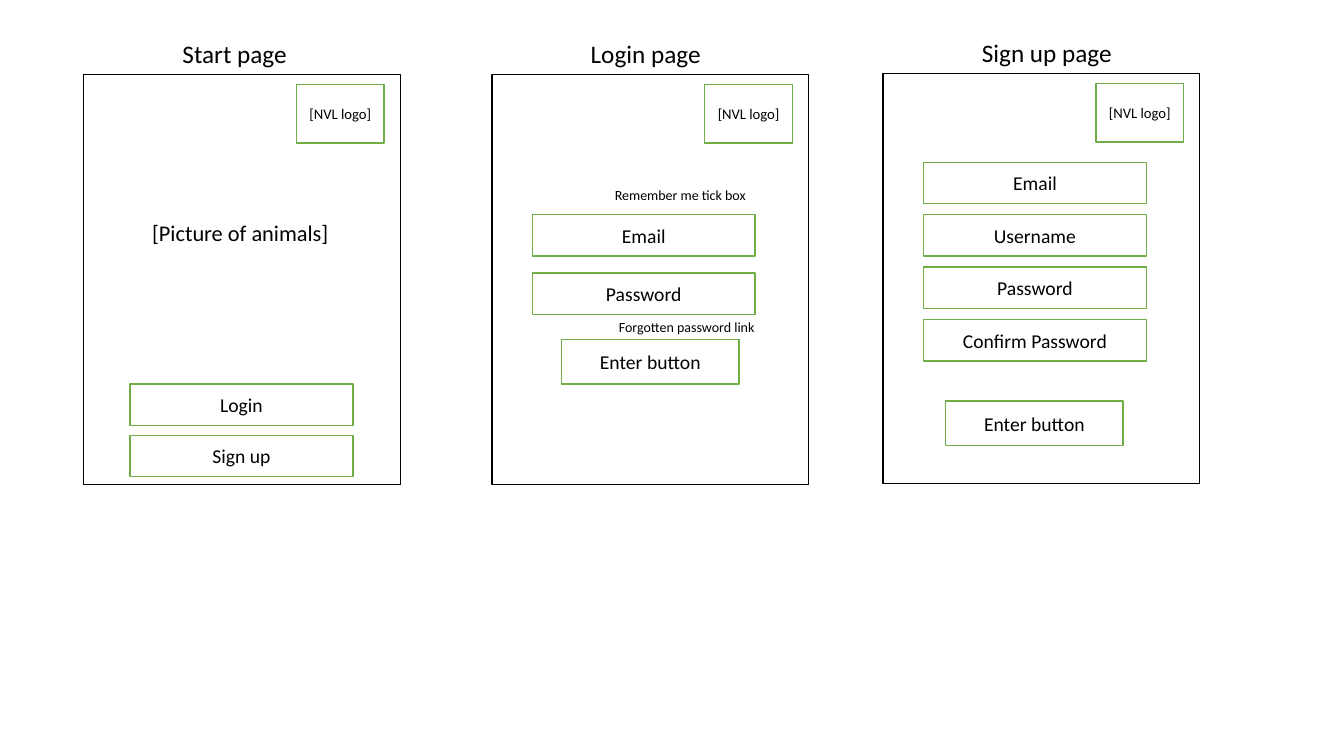
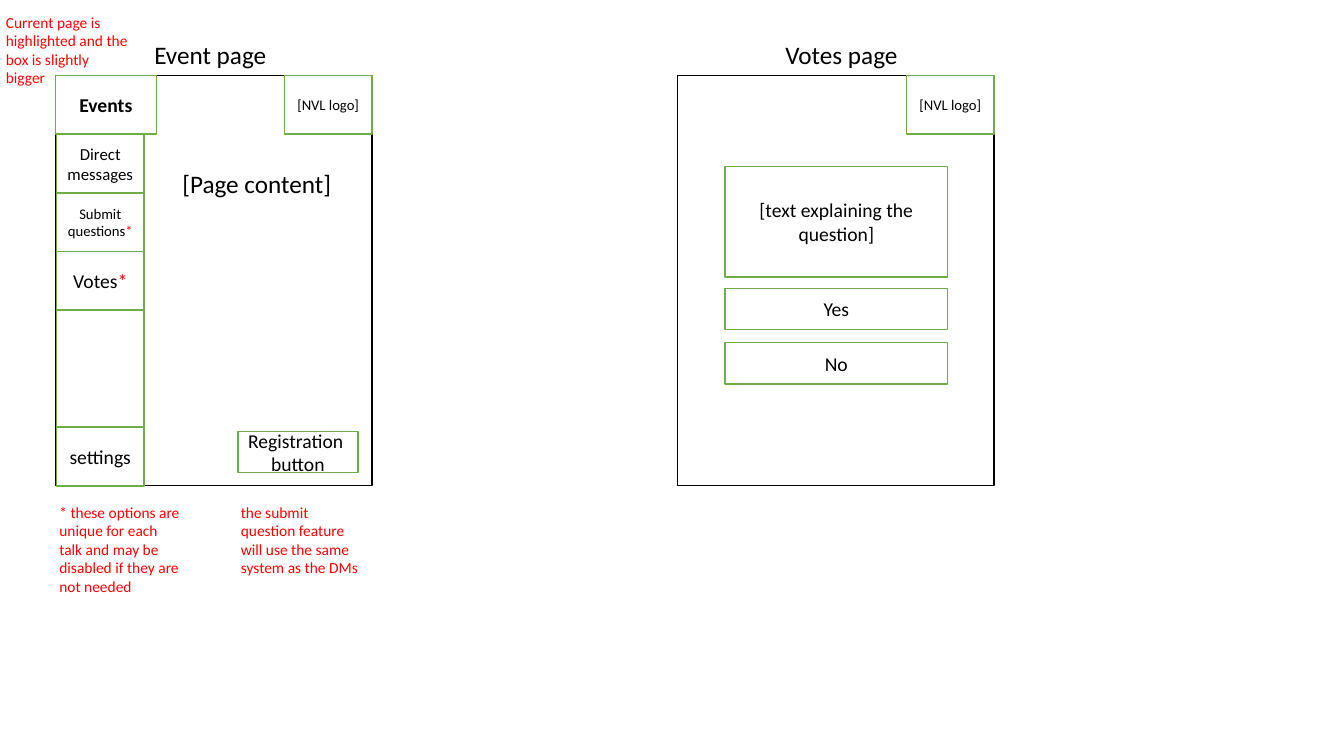
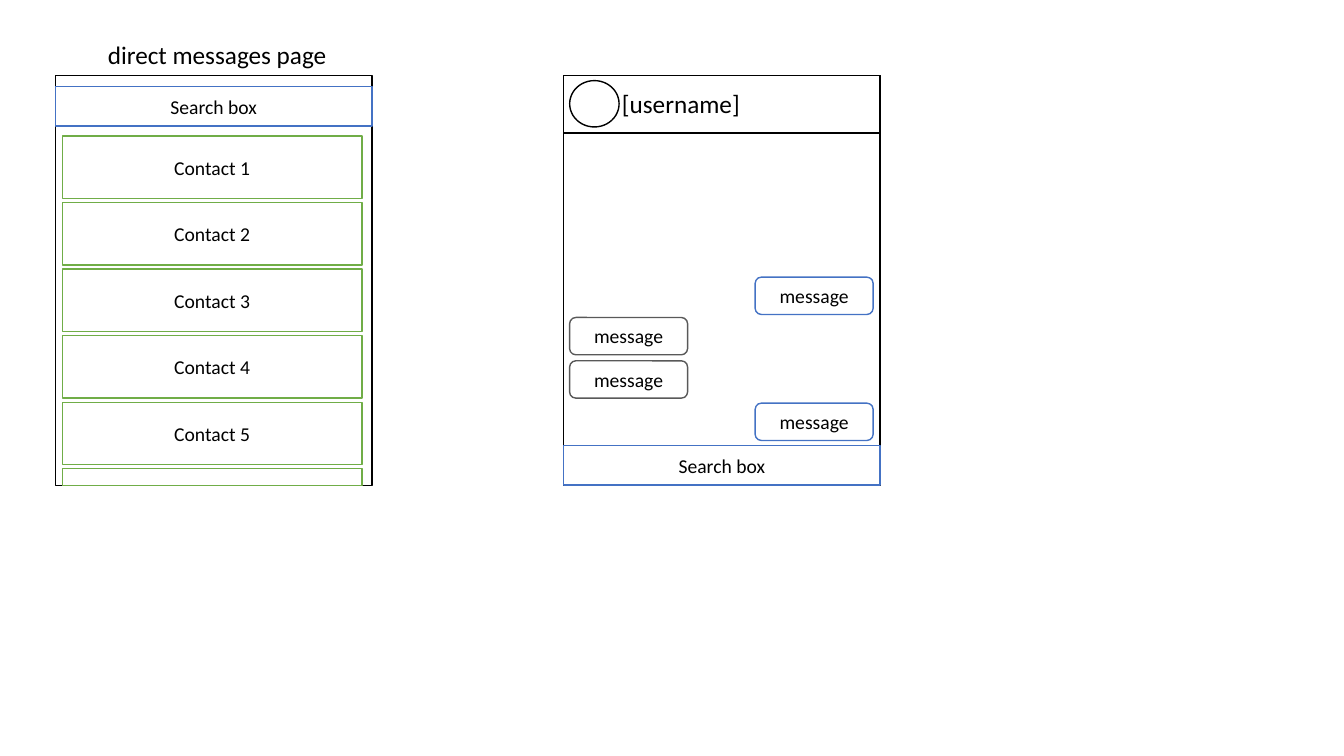
from dataclasses import dataclass
from typing import NamedTuple

from pptx import Presentation
from pptx.dml.color import RGBColor as RGB
from pptx.enum.shapes import MSO_SHAPE as SHAPE
from pptx.enum.text import MSO_ANCHOR as ANCHOR
from pptx.enum.text import MSO_AUTO_SIZE as AUTO_SIZE
from pptx.enum.text import PP_ALIGN as ALIGN
from pptx.util import Inches, Pt


@dataclass(frozen=True)
class Theme:
    font: str = "Calibri"
    ink: RGB = RGB(0, 0, 0)
    paper: RGB = RGB(255, 255, 255)
    green: RGB = RGB(0x70, 0xAD, 0x47)
    blue: RGB = RGB(0x44, 0x72, 0xC4)
    grey: RGB = RGB(0x59, 0x59, 0x59)
    red: RGB = RGB(255, 0, 0)
    outline: float = 1
    heading: float = 18
    placeholder: float = 16
    control: float = 14
    tab: float = 12
    note: float = 11
    small: float = 10.5
    hint: float = 10


THEME = Theme()
SCREEN_W, SCREEN_H = 3.14, 4.07
TITLE_RISE, TITLE_H = 0.41, 0.4
TAB_W, TAB_H = 0.87, SCREEN_H / 7
FIELD = (2.21, 0.41)
BUTTON = (1.76, 0.44)
BUBBLE = (1.17, 0.37)
BAR = (SCREEN_W, 0.39)


class Stack(NamedTuple):
    labels: tuple
    at: tuple
    size: tuple = FIELD
    pitch: float = 0
    points: float = THEME.control
    line: RGB = THEME.green
    outline: SHAPE = SHAPE.RECTANGLE
    bold: bool = False


class Caption(NamedTuple):
    text: str
    at: tuple
    size: tuple
    points: float
    color: RGB = THEME.ink
    wrap: bool = True


class Screen(NamedTuple):
    corner: tuple
    content: tuple
    title: str = ""
    title_x: float = 0.88
    title_w: float = 1.33


def logo(x, y):
    return Stack(("[NVL logo]",), (x, y), (TAB_W, 0.58), points=THEME.small)


def tab(label, row, points=THEME.control, rows=1):
    return Stack((label,), (0.01, row * TAB_H), (TAB_W, rows * TAB_H), points=points)


def bubble(x, y, line):
    return Stack(("message",), (x, y), BUBBLE, line=line, outline=SHAPE.ROUNDED_RECTANGLE)


def search(y):
    return Stack(("Search box",), (0, y), BAR, line=THEME.blue)


SLIDES = [
    [
        Screen((0.83, 0.74), (
            logo(2.11, 0.1),
            Stack(("Login", "Sign up"), (0.46, 3.07), pitch=0.51),
            Caption("[Picture of animals]", (0.58, 1.38), (1.98, 0.37), THEME.placeholder),
        ), "Start page", title_w=1.25),
        Screen((4.88, 0.74), (
            logo(2.11, 0.1),
            Stack(("Email", "Password"), (0.4, 1.39), pitch=0.58),
            Stack(("Enter button",), (0.69, 2.63), BUTTON),
            Caption("Forgotten password link", (1.16, 2.37), (1.72, 0.27), THEME.hint),
            Caption("Remember me tick box", (1.12, 1.06), (1.72, 0.27), THEME.hint),
        ), "Login page", title_w=1.31),
        Screen((8.76, 0.73), (
            logo(2.11, 0.1),
            Stack(("Email", "Username", "Password", "Confirm Password"), (0.4, 0.88), pitch=0.52),
            Stack(("Enter button",), (0.62, 3.25), BUTTON),
        ), "Sign up page", title_w=1.51),
    ],
    [
        Screen((0.55, 0.75), (
            logo(2.27, 0),
            Stack(("Events",), (0, 0), (1, 0.58), bold=True),
            tab("Direct messages", 1, THEME.tab),
            tab("Submit questions*", 2, THEME.small),
            tab("Votes*", 3),
            tab("", 4, rows=2),
            tab("settings", 6),
            Caption("[Page content]", (1.16, 0.87), (1.69, 0.4), THEME.heading, wrap=False),
            Stack(("Registration\u00a0 button",), (1.81, 3.53), (1.19, 0.41)),
            Caption("* these options are unique for each talk and may be disabled if they are not needed",
                    (-0.06, 4.19), (1.42, 1.03), THEME.note, THEME.red),
            Caption("the submit question feature will use the same system as the DMs",
                    (1.74, 4.19), (1.39, 0.84), THEME.note, THEME.red),
            Caption("Current page is highlighted and the box is slightly bigger",
                    (-0.59, -0.67), (1.43, 0.84), THEME.note, THEME.red),
        ), "Event page"),
        Screen((6.72, 0.75), (
            logo(2.27, 0),
            Stack(("[text explaining the question]",), (0.47, 0.9), (2.21, 1.1)),
            Stack(("Yes", "No"), (0.47, 2.11), pitch=0.54),
        ), "Votes page", title_x=0.97),
    ],
    [
        Screen((0.55, 0.75), (
            Stack(("Contact 1", "Contact 2", "Contact 3", "Contact 4", "Contact 5", ""),
                  (0.07, 0.6), (2.97, 0.62), pitch=0.66),
            search(0.11),
        ), "direct messages page", title_x=0.42, title_w=2.39),
        Screen((5.59, 0.75), (
            search(3.67),
            bubble(1.9, 3.25, THEME.blue),
            bubble(0.06, 2.83, THEME.grey),
            bubble(0.06, 2.4, THEME.grey),
            bubble(1.9, 2, THEME.blue),
            Stack(("",), (0, 0), (SCREEN_W, 0.57), line=THEME.ink),
            Stack(("",), (0.06, 0.05), (0.49, 0.46), line=THEME.ink, outline=SHAPE.OVAL),
            Caption("[username]", (0.48, 0.08), (1.42, 0.4), THEME.heading),
        )),
    ],
]


def style(paragraph, points, color, align, bold=False):
    font = paragraph.font
    font.name, font.size, font.bold = THEME.font, Pt(points), bold
    font.color.rgb = color
    paragraph.alignment = align


def draw_box(slide, label, x, y, w, h, look):
    box = slide.shapes.add_shape(look.outline, Inches(x), Inches(y), Inches(w), Inches(h))
    box.shadow.inherit = False
    box.fill.solid()
    box.fill.fore_color.rgb = THEME.paper
    box.line.color.rgb = look.line
    box.line.width = Pt(THEME.outline)
    if not label:
        return
    frame = box.text_frame
    frame.word_wrap = True
    frame.vertical_anchor = ANCHOR.MIDDLE
    paragraph = frame.paragraphs[0]
    style(paragraph, look.points, THEME.ink, ALIGN.CENTER, look.bold)
    paragraph.add_run().text = label.rstrip("*")
    if label.endswith("*"):
        star = paragraph.add_run()
        star.text = "*"
        star.font.color.rgb = THEME.red


def draw_stack(slide, stack, left, top):
    x, y = stack.at
    w, h = stack.size
    for row, label in enumerate(stack.labels):
        row_y = y + row * stack.pitch
        draw_box(slide, label, left + x, top + row_y, w, min(h, SCREEN_H - row_y), stack)


def write_caption(holder, caption, left, top):
    x, y = caption.at
    w, h = caption.size
    holder.left, holder.top = Inches(left + x), Inches(top + y)
    holder.width, holder.height = Inches(w), Inches(h)
    frame = holder.text_frame
    frame.text = caption.text
    frame.word_wrap = caption.wrap
    frame.auto_size = AUTO_SIZE.SHAPE_TO_FIT_TEXT
    frame.vertical_anchor = ANCHOR.TOP
    style(frame.paragraphs[0], caption.points, caption.color, ALIGN.LEFT)


def new_text(slide):
    return slide.shapes.add_textbox(0, 0, 0, 0)


def draw_screen(slide, screen, title_holder):
    left, top = screen.corner
    draw_box(slide, "", left, top, SCREEN_W, SCREEN_H, Stack((), (0, 0), line=THEME.ink))
    if screen.title:
        heading = Caption(screen.title, (screen.title_x, -TITLE_RISE),
                          (screen.title_w, TITLE_H), THEME.heading, wrap=False)
        write_caption(title_holder or new_text(slide), heading, left, top)
    for element in screen.content:
        if isinstance(element, Stack):
            draw_stack(slide, element, left, top)
        else:
            write_caption(new_text(slide), element, left, top)


deck = Presentation()
deck.slide_width, deck.slide_height = Inches(13.33), Inches(7.5)
title_only = deck.slide_layouts[5]
for screens in SLIDES:
    slide = deck.slides.add_slide(title_only)
    for order, screen in enumerate(screens):
        draw_screen(slide, screen, slide.shapes.title if order == 0 else None)
deck.save("out.pptx")
